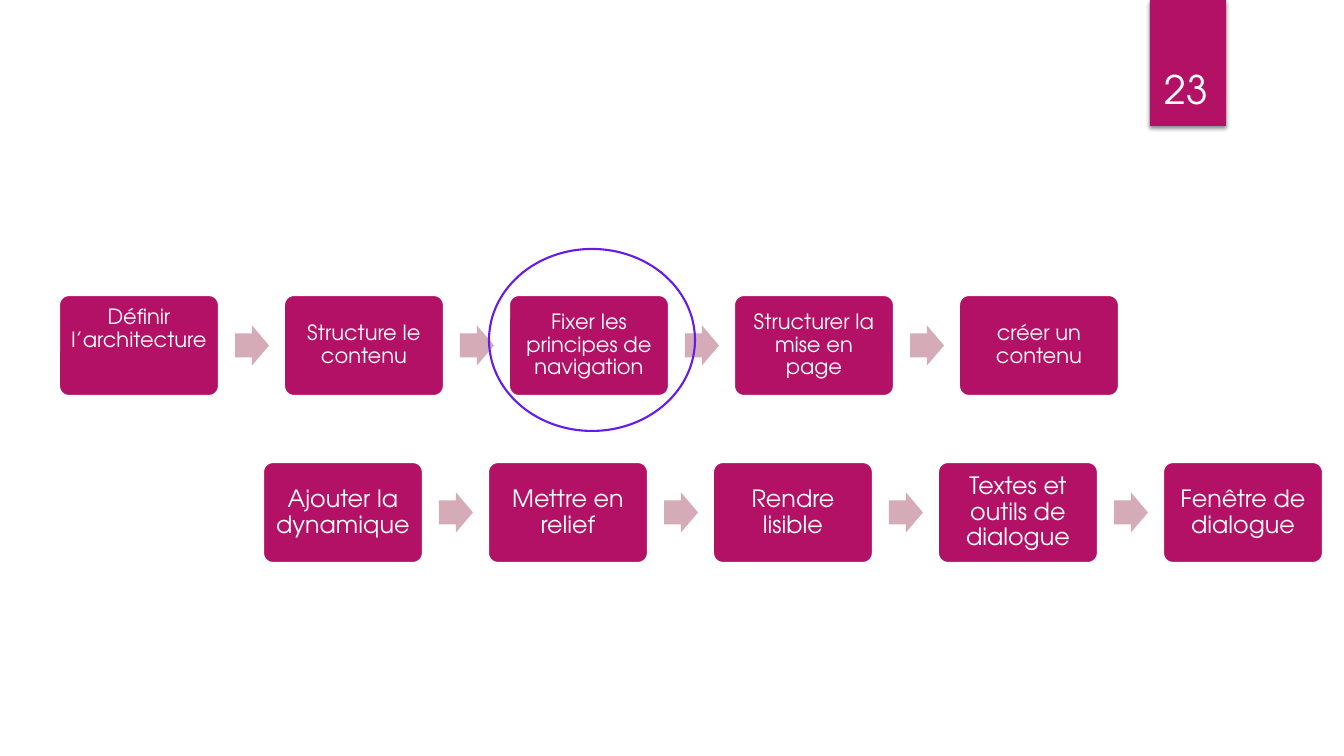
from lxml import etree
from pptx import Presentation
from pptx.dml.color import RGBColor
from pptx.enum.shapes import MSO_SHAPE as SHAPE
from pptx.enum.text import MSO_ANCHOR as ANCHOR, PP_ALIGN as ALIGN
from pptx.oxml.ns import qn
from pptx.util import Emu, Pt

ROWS = [
    {"left": 59, "top": 295, "size": 15, "inset": 9, "steps": [
        "Définir l’architecture", "Structure le contenu",
        "Fixer les principes de navigation", "Structurer la mise en page",
        "créer un contenu"]},
    {"left": 263, "top": 462, "size": 17, "inset": 10, "steps": [
        "Ajouter la dynamique", "Mettre en relief", "Rendre lisible",
        "Textes et outils de dialogue", "Fenêtre de dialogue"]},
]
RAISED_STEP = "Définir l’architecture"
RAISE = 16
PAGE_NUMBER = "23"
COLORS = {"magenta": "B31166", "pink": "D6ABB8", "violet": "651BEB",
          "white": "FFFFFF", "black": "000000"}
FONT = "TeX Gyre Adventor"
PITCH, BOX_WIDTH, BOX_HEIGHT = 225, 160, 101
ARROW_OFFSET, ARROW_WIDTH, ARROW_HEIGHT = 176, 34, 40


def px(value):
    return Emu(round(value * 914400 / 100.8))


def color(name):
    return RGBColor.from_string(COLORS[name])


def add_shape(slide, kind, box, fill=None, line=None, adjustments=()):
    shape = slide.shapes.add_shape(kind, *map(px, box))
    shape.shadow.inherit = False
    for index, value in enumerate(adjustments):
        shape.adjustments[index] = value
    if fill:
        shape.fill.solid()
        shape.fill.fore_color.rgb = color(fill)
    else:
        shape.fill.background()
    if line:
        shape.line.color.rgb = color(line)
        shape.line.width = Pt(1.5)
    else:
        shape.line.fill.background()
    return shape


def write(shape, text, size, anchor, spacing, **margins):
    frame = shape.text_frame
    paragraph = frame.paragraphs[0]
    paragraph.text = text
    frame_format = {"word_wrap": True, "vertical_anchor": anchor}
    frame_format |= {f"margin_{side}": px(gap) for side, gap in margins.items()}
    formats = [
        (frame, frame_format),
        (paragraph, {"alignment": ALIGN.CENTER, "line_spacing": spacing}),
        (paragraph.runs[0].font, {"name": FONT, "size": Pt(size)}),
    ]
    for target, values in formats:
        for name, value in values.items():
            setattr(target, name, value)
    paragraph.runs[0].font.color.rgb = color("white")


def add_shadow(shape):
    effects = shape.fill._xPr.find(qn("a:effectLst"))
    shadow = etree.SubElement(effects, qn("a:outerShdw"), blurRad=str(Pt(3)),
                              dist=str(Pt(2)), dir="5400000", rotWithShape="0")
    tint = etree.SubElement(shadow, qn("a:srgbClr"), val=COLORS["black"])
    etree.SubElement(tint, qn("a:alpha"), val="45000")


def add_row(slide, row):
    top, inset = row["top"], row["inset"]
    for index, step in enumerate(row["steps"]):
        left = row["left"] + index * PITCH
        if index:
            arrow_box = (left - PITCH + ARROW_OFFSET,
                         top + (BOX_HEIGHT - ARROW_HEIGHT) / 2,
                         ARROW_WIDTH, ARROW_HEIGHT)
            add_shape(slide, SHAPE.RIGHT_ARROW, arrow_box, "pink",
                      adjustments=(0.6, 0.5))
        box = add_shape(slide, SHAPE.ROUNDED_RECTANGLE,
                        (left, top, BOX_WIDTH, BOX_HEIGHT),
                        "magenta", "white", (0.1,))
        lift = 2 * RAISE if step == RAISED_STEP else 0
        write(box, step, row["size"], ANCHOR.MIDDLE, 0.9, left=inset,
              right=inset, top=inset, bottom=inset + lift)


def main():
    presentation = Presentation()
    presentation.slide_width, presentation.slide_height = px(1344), px(756)
    slide = presentation.slides.add_slide(presentation.slide_layouts[6])

    badge = add_shape(slide, SHAPE.RECTANGLE, (1150, 0, 76, 126), "magenta")
    add_shadow(badge)
    write(badge, PAGE_NUMBER, 28, ANCHOR.BOTTOM, 1.0,
          left=0, right=3, top=0, bottom=14)

    for row in ROWS:
        add_row(slide, row)
    add_shape(slide, SHAPE.OVAL, (489, 249, 206, 182), line="violet")

    presentation.save("out.pptx")


if __name__ == "__main__":
    main()
